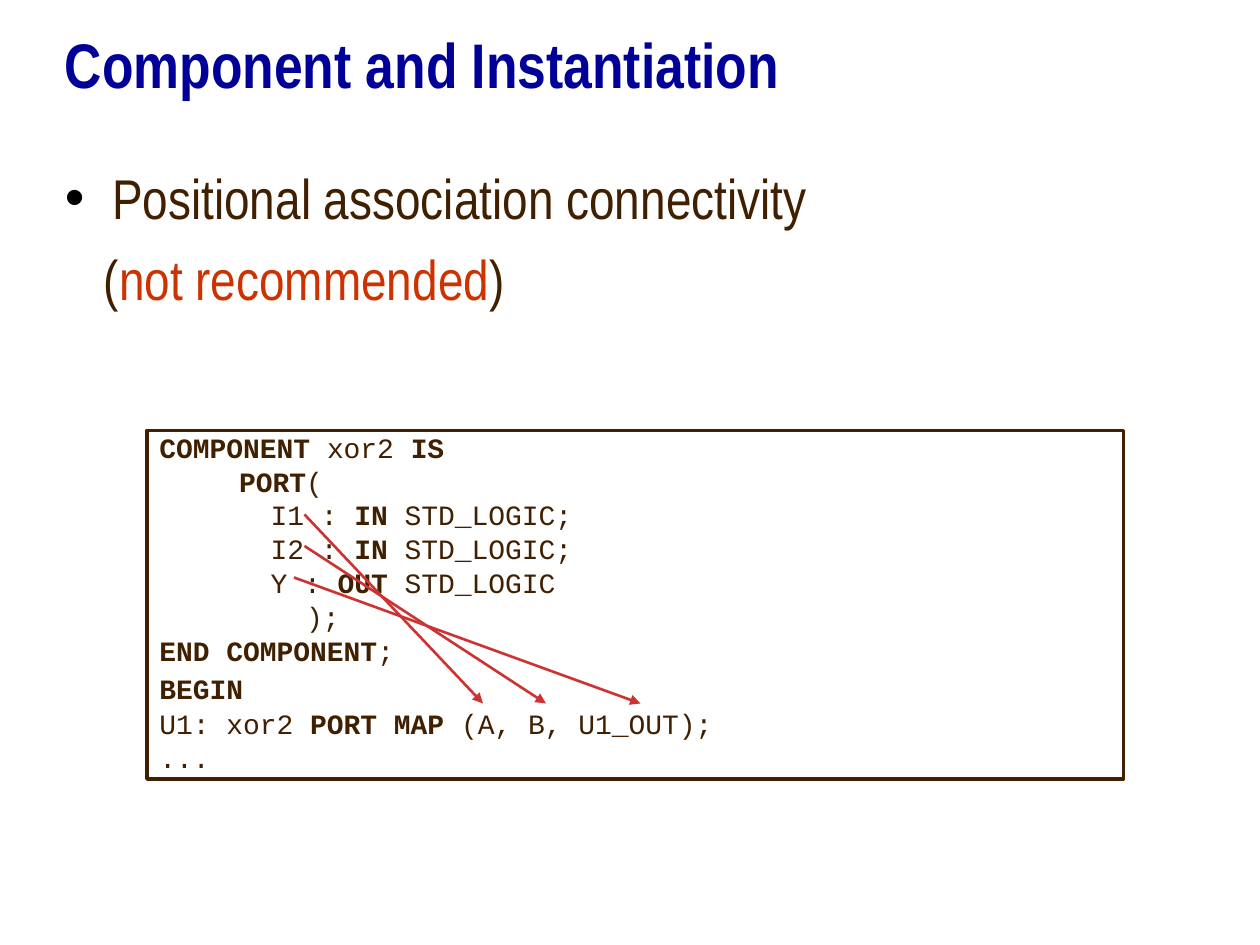
from lxml import etree
from pptx import Presentation, util as u
from pptx.dml.color import RGBColor
from pptx.enum import shapes, text
from pptx.oxml import ns

SCALE = 7620  # EMU per px, 120 px to the inch
COLORS = {"title": "000099", "text": "402000", "warning": "CC3300",
          "arrow": "CD3333", "bullet": "000000"}
SANS, MONO = "Arial Narrow", "Courier New"


def px(n):
    return u.Emu(n * SCALE)


def sub(parent, tag, **attrs):
    return etree.SubElement(parent, ns.qn(tag), attrs)


class Deck:
    def __init__(self, width, height):
        self.prs = Presentation()
        self.prs.slide_width, self.prs.slide_height = px(width), px(height)
        self.s = self.prs.slides.add_slide(self.prs.slide_layouts[6])

    def frame(self, sp, anchor=text.MSO_ANCHOR.TOP):
        tf = sp.text_frame
        tf.word_wrap = True
        tf.vertical_anchor = anchor
        return tf

    def textbox(self, x, y, w, h, anchor=text.MSO_ANCHOR.TOP):
        sp = self.s.shapes.add_textbox(px(x), px(y), px(w), px(h))
        return self.frame(sp, anchor)

    def outline_box(self, x, y, w, h):
        sp = self.s.shapes.add_shape(shapes.MSO_SHAPE.RECTANGLE,
                                     px(x), px(y), px(w), px(h))
        sp.shadow.inherit = False
        sp.fill.background()
        sp.line.color.rgb = RGBColor.from_string(COLORS["text"])
        sp.line.width = u.Pt(2)
        return self.frame(sp)

    def paragraph(self, tf, first, before=0, spacing=None):
        p = tf.paragraphs[0] if first else tf.add_paragraph()
        p.alignment = text.PP_ALIGN.LEFT
        p.space_before = u.Pt(0 if first else before)
        if spacing:
            p.line_spacing = spacing
        return p

    def run(self, p, words, size, font, color="text", bold=False):
        r = p.add_run()
        r.text = words
        r.font.size, r.font.name, r.font.bold = u.Pt(size), font, bold
        r.font.color.rgb = RGBColor.from_string(COLORS[color])

    def indent(self, p, left, first=0):
        pPr = p._p.get_or_add_pPr()
        pPr.set("marL", str(px(left)))
        pPr.set("indent", str(px(first)))
        return pPr

    def bullet(self, p, left):
        pPr = self.indent(p, left, -left)
        sub(sub(pPr, "a:buClr"), "a:srgbClr", val=COLORS["bullet"])
        sub(pPr, "a:buFont", typeface="Arial")
        sub(pPr, "a:buChar", char="•")

    def tabs(self, p, stops):
        tab_list = sub(p._p.get_or_add_pPr(), "a:tabLst")
        for stop in stops:
            sub(tab_list, "a:tab", pos=str(px(stop)), algn="l")

    def code(self, tf, lines, stops):
        # ** switches bold on and off
        for i, (line, spacing) in enumerate(lines):
            p = self.paragraph(tf, i == 0, 4, spacing)
            self.tabs(p, stops)
            for j, part in enumerate(line.split("**")):
                if part:
                    self.run(p, part, 16, MONO, bold=j % 2 == 1)

    def arrow(self, x1, y1, x2, y2):
        c = self.s.shapes.add_connector(shapes.MSO_CONNECTOR.STRAIGHT,
                                        px(x1), px(y1), px(x2), px(y2))
        c.line.color.rgb = RGBColor.from_string(COLORS["arrow"])
        c.line.width = u.Pt(1.5)
        sub(c.line._get_or_add_ln(), "a:tailEnd", type="triangle")
        sub(c._element.spPr, "a:effectLst")


CODE = [
    ("**COMPONENT **xor2 **IS**", 0.8),
    ("\t **PORT**(", 0.8),
    ("\t\t I1 : **IN** STD_LOGIC;", 0.8),
    ("\t\t I2 : **IN** STD_LOGIC;", 0.8),
    ("\t\t Y : **OUT** STD_LOGIC", 0.8),
    ("\t     );", 0.8),
    ("**END COMPONENT**;", 0.8),
    ("**BEGIN**", 0.95),
    ("U1: xor2 **PORT MAP** (A, B, U1_OUT);", 0.8),
    ("...", 0.8),
]


def main():
    deck = Deck(1200, 900)

    # Title
    tf = deck.textbox(50, 10, 1100, 100, text.MSO_ANCHOR.MIDDLE)
    p = deck.paragraph(tf, True)
    deck.run(p, "Component and Instantiation", 36, SANS, "title", True)

    # Bullet and its second line
    tf = deck.textbox(50, 150, 1100, 690)
    p = deck.paragraph(tf, True)
    deck.bullet(p, 45)
    deck.run(p, "Positional association connectivity", 32, SANS)
    p = deck.paragraph(tf, False, 8)
    deck.indent(p, 37)
    for words, color in (("(", "text"), ("not recommended", "warning"), (")", "text")):
        deck.run(p, words, 32, SANS, color)

    # Code listing
    deck.code(deck.outline_box(140, 410, 930, 332), CODE, (60, 90, 120))

    # Arrows from each port to its signal
    for x1, y1, x2 in ((290, 490, 460), (280, 550, 610), (290, 520, 520)):
        deck.arrow(x1, y1, x2, 670)

    deck.prs.save("out.pptx")


if __name__ == "__main__":
    main()
